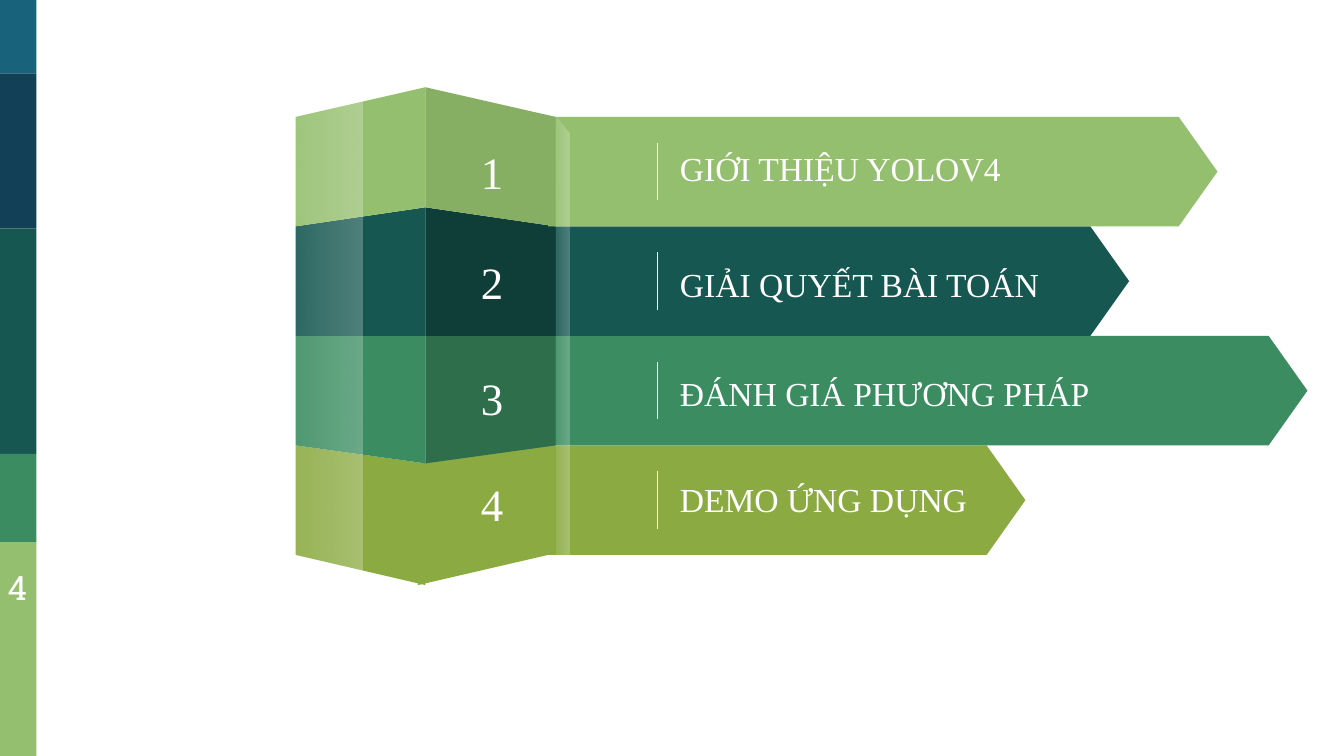
import dataclasses

import pptx
import pptx.dml.color
import pptx.enum.shapes
import pptx.enum.text
import pptx.oxml.ns
import pptx.util
from lxml import etree

Cm = pptx.util.Cm
Pt = pptx.util.Pt
PRESET = pptx.enum.shapes.MSO_SHAPE
ALIGN = pptx.enum.text.PP_ALIGN
ANCHOR = pptx.enum.text.MSO_ANCHOR
qn = pptx.oxml.ns.qn


@dataclasses.dataclass(frozen=True)
class Theme:
    white: str = "FFFFFF"
    sidebar: tuple = ("18637B", "124057", "165751", "3B8D61", "94BF6E")
    serif: str = "Times New Roman"
    slab: str = "Roboto Slab"
    label_size: int = 18
    number_size: int = 24
    page_size: int = 18


@dataclasses.dataclass(frozen=True)
class Row:
    text: str
    front: str      # colour of the arrow and the left face
    side: str       # colour of the right face
    tip: float      # x of the arrow tip
    label_width: float
    label_dy: float = 0
    number_dy: float = 0
    face_dx: float = 0


THEME = Theme()
ROWS = [
    Row("GIỚI THIỆU YOLOV4", "94BF6E", "87AF64", 23.01, 8.74),
    Row("GIẢI QUYẾT BÀI TOÁN", "165751", "0F3D38", 21.34, 9.14, 0.12),
    Row("ĐÁNH GIÁ PHƯƠNG PHÁP", "3B8D61", "2E6E4B", 24.71, 10.95, 0.12, 0.13),
    Row("DEMO ỨNG DỤNG", "8BAB42", "8BAB42", 19.38, 10.34, 0.05, 0.07, -0.14),
]
# Vertical shift of the fold at each boundary between rows
FOLD = [-0.56, -0.36, 0, 0.34, 0.57]


def rgb(color):
    return pptx.dml.color.RGBColor.from_string(color)


def paint(sp, color):
    sp.shadow.inherit = False
    sp.fill.solid()
    sp.fill.fore_color.rgb = rgb(color)
    sp.line.fill.background()


def add_preset(slide, kind, x, y, w, h, color):
    sp = slide.shapes.add_shape(kind, Cm(x), Cm(y), Cm(w), Cm(h))
    paint(sp, color)
    return sp


def add_polygon(slide, points, color):
    corners = [(Cm(x), Cm(y)) for x, y in points]
    builder = slide.shapes.build_freeform(*corners[0], scale=1.0)
    builder.add_line_segments(corners[1:], close=True)
    sp = builder.convert_to_shape()
    paint(sp, color)
    return sp


def add_text(slide, text, x, y, w, h, font, size, align=ALIGN.LEFT,
             anchor=ANCHOR.TOP, spacing=None):
    sp = slide.shapes.add_textbox(Cm(x), Cm(y), Cm(w), Cm(h))
    tf = sp.text_frame
    tf.word_wrap = True
    tf.vertical_anchor = anchor
    p = tf.paragraphs[0]
    p.text = text
    p.alignment = align
    p.line_spacing = spacing
    r = p.runs[0]
    r.font.name = font
    r.font.size = Pt(size)
    r.font.color.rgb = rgb(THEME.white)
    return tf


def add_shine(slide, points):
    """Lay a see-through white gradient over the folded band."""
    sp = add_polygon(slide, points, THEME.white)
    sp.fill.gradient()
    sp.fill.gradient_angle = 0
    for stop, position, opacity in zip(sp.fill.gradient_stops, (0, 1), (10, 25)):
        stop.position = position
        stop.color.rgb = rgb(THEME.white)
    for clr, opacity in zip(sp._element.spPr.iter(qn("a:srgbClr")), (10, 25)):
        etree.SubElement(clr, qn("a:alpha")).set("val", str(opacity * 1000))


def add_divider(slide, x, y, length):
    line = slide.shapes.add_connector(
        pptx.enum.shapes.MSO_CONNECTOR.STRAIGHT, Cm(x), Cm(y), Cm(x), Cm(y + length))
    line.line.color.rgb = rgb(THEME.white)
    line.line.width = Pt(0.75)
    etree.SubElement(line._element.spPr, qn("a:effectLst"))


def draw_sidebar(slide, x, y, w, h, page):
    tops = [0, 1.39, 4.32, 8.58, 10.25, h]
    for color, top, bottom in zip(THEME.sidebar, tops, tops[1:]):
        add_preset(slide, PRESET.RECTANGLE, x, y + top, w, bottom - top, color)
    tf = add_text(slide, page, x - 0.15, y + 10.46, w + 0.27, 0.89,
                  THEME.slab, THEME.page_size, ALIGN.CENTER)
    tf.margin_top = tf.margin_bottom = Cm(0.25)


def draw_row_shapes(slide, row, x, y, h, folds):
    """Draw the arrow and both faces; folds are the shifts above and below."""
    ridge, right, bottom = x + 2.45, x + 4.91, y + h
    arrow = add_preset(slide, PRESET.PENTAGON, x + 4.77, y, row.tip - x - 4.77, h, row.front)
    arrow.adjustments[0] = 0.354
    for outer, dx, color in ((x, 0, row.front), (right, row.face_dx, row.side)):
        add_polygon(slide, [(ridge + dx, y + folds[0]), (outer + dx, y),
                            (outer + dx, bottom), (ridge + dx, bottom + folds[1])], color)


def draw_row_text(slide, row, number, x, y, h):
    middle = y + h / 2
    add_divider(slide, x + 6.84, middle - 0.55, 1.09)
    add_text(slide, row.text, x + 7.01, middle - 0.63 + row.label_dy, row.label_width, 1.25,
             THEME.serif, THEME.label_size, anchor=ANCHOR.MIDDLE, spacing=0.83)
    add_text(slide, str(number), x + 3.16, middle - 0.63 + row.number_dy, 1.1, 1.27,
             THEME.serif, THEME.number_size, ALIGN.CENTER)


def draw_agenda(slide, x, y, h):
    pitch = h / len(ROWS)
    for i in reversed(range(len(ROWS))):
        draw_row_shapes(slide, ROWS[i], x, y + i * pitch, pitch, FOLD[i:i + 2])
    add_shine(slide, [(x - 0.05, 12.85), (x - 0.05, y), (x + 1.27, 1.88), (x + 1.27, 13.26)])
    for i, row in enumerate(ROWS):
        draw_row_text(slide, row, i + 1, x, y + i * pitch, pitch)
    add_shine(slide, [(x + 5.18, 12.37), (x + 5.18, 2.54), (x + 4.93, y), (x + 4.93, 12.75)])


def main():
    prs = pptx.Presentation()
    prs.slide_width, prs.slide_height = Cm(25.4), Cm(14.29)
    slide = prs.slides.add_slide(prs.slide_layouts[6])
    draw_sidebar(slide, 0, 0, 0.69, 14.29, "4")
    draw_agenda(slide, 5.59, 2.21, 8.28)
    prs.save("out.pptx")


if __name__ == "__main__":
    main()
